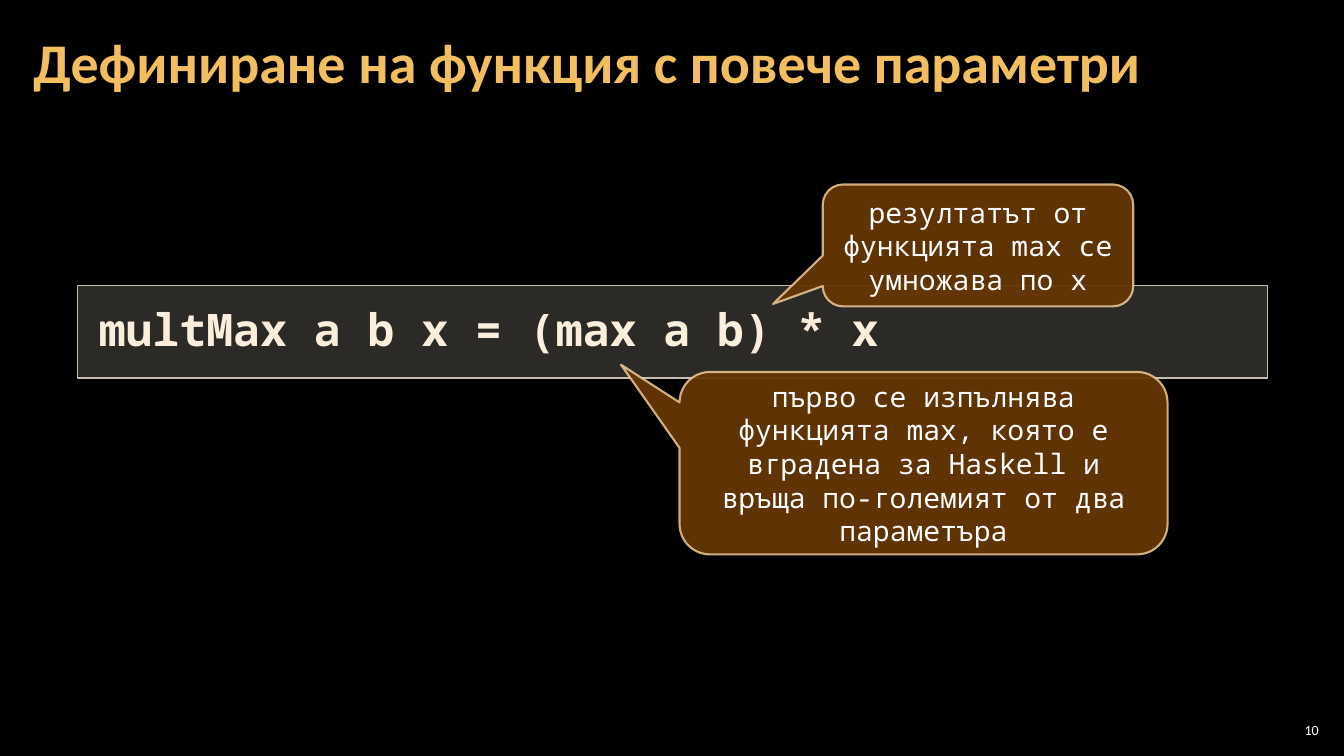
from lxml import etree
from pptx import Presentation
from pptx.dml.color import RGBColor
from pptx.enum.shapes import MSO_SHAPE
from pptx.enum.text import MSO_ANCHOR, PP_ALIGN
from pptx.oxml.ns import qn
from pptx.util import Inches, Pt

RECT = MSO_SHAPE.RECTANGLE
CALLOUT = MSO_SHAPE.ROUNDED_RECTANGULAR_CALLOUT
TOP, MIDDLE = MSO_ANCHOR.TOP, MSO_ANCHOR.MIDDLE
LEFT, CENTER, RIGHT = PP_ALIGN.LEFT, PP_ALIGN.CENTER, PP_ALIGN.RIGHT

BLACK = RGBColor(0x00, 0x00, 0x00)
WHITE = RGBColor(0xFF, 0xFF, 0xFF)
GOLD = RGBColor(0xF3, 0xBE, 0x60)
CREAM = RGBColor(0xFB, 0xEE, 0xDC)
STONE = RGBColor(0xD9, 0xD4, 0xC6)
STONE_EDGE = RGBColor(0xC6, 0xBE, 0xAB)
BROWN = RGBColor(0x66, 0x36, 0x06)
SAND = RGBColor(0xF8, 0xD4, 0x9E)

SANS = "Calibri"
MONO = "Noto Sans Mono"


def write(s, text, font, size, color, margins, align=LEFT, anchor=MIDDLE, bold=False):
    tf = s.text_frame
    tf.word_wrap = True
    tf.vertical_anchor = anchor
    tf.margin_left = tf.margin_right = Inches(margins[0])
    tf.margin_top = tf.margin_bottom = Inches(margins[1])
    p = tf.paragraphs[0]
    p.text = text
    p.alignment = align
    p.font.name = font
    p.font.size = Pt(size)
    p.font.bold = bold
    p.font.color.rgb = color
    return p


def set_opacity(color_parent, percent):
    color = next(color_parent.iter(qn("a:srgbClr")))
    etree.SubElement(color, qn("a:alpha"), val=str(percent * 1000))


def add_panel(slide, kind, box, fill, fill_opacity, edge, edge_width):
    s = slide.shapes.add_shape(kind, *map(Inches, box))
    s.shadow.inherit = False
    s.fill.solid()
    s.fill.fore_color.rgb = fill
    s.line.color.rgb = edge
    s.line.width = Pt(edge_width)
    set_opacity(s.element.spPr.find(qn("a:solidFill")), fill_opacity)
    return s


def add_title(slide, box, text):
    s = slide.shapes.add_textbox(*map(Inches, box))
    p = write(s, text, SANS, 40, GOLD, (0.12, 0.04), bold=True)
    p.line_spacing = 0.9


def add_code(slide, box, text):
    s = add_panel(slide, RECT, box, STONE, 20, STONE_EDGE, 1)
    write(s, text, MONO, 32, CREAM, (0.21, 0.16), anchor=TOP, bold=True)


def add_callout(slide, box, tip, text):
    s = add_panel(slide, CALLOUT, box, BROWN, 95, SAND, 1.5)
    set_opacity(s.element.spPr.find(qn("a:ln")), 80)
    s.adjustments[0], s.adjustments[1] = tip
    write(s, text, MONO, 20, WHITE, (0.13, 0.07), CENTER)


def add_page_number(slide, box, number):
    s = slide.shapes.add_textbox(*map(Inches, box))
    write(s, number, SANS, 10, WHITE, (0.04, 0.04), RIGHT)


def main():
    prs = Presentation()
    prs.slide_width = Inches(13.33)
    prs.slide_height = Inches(7.5)
    slide = prs.slides.add_slide(prs.slide_layouts[6])
    slide.background.fill.solid()
    slide.background.fill.fore_color.rgb = BLACK

    add_title(slide, (0.21, 0.04, 12.91, 1.21),
              "Дефиниране на функция с повече параметри")
    add_code(slide, (0.77, 2.83, 11.8, 0.92), "multMax a b x = (max a b) * x")
    add_callout(slide, (6.74, 3.69, 4.84, 1.81), (-0.62, -0.54),
                "първо се изпълнява функцията max, която е вградена "
                "за Haskell и връща по-големият от два параметъра")
    add_callout(slide, (8.16, 1.83, 3.08, 1.21), (-0.66, 0.48),
                "резултатът от функцията max се умножава по x")
    add_page_number(slide, (12.65, 7.14, 0.47, 0.21), "10")

    prs.save("out.pptx")


if __name__ == "__main__":
    main()
